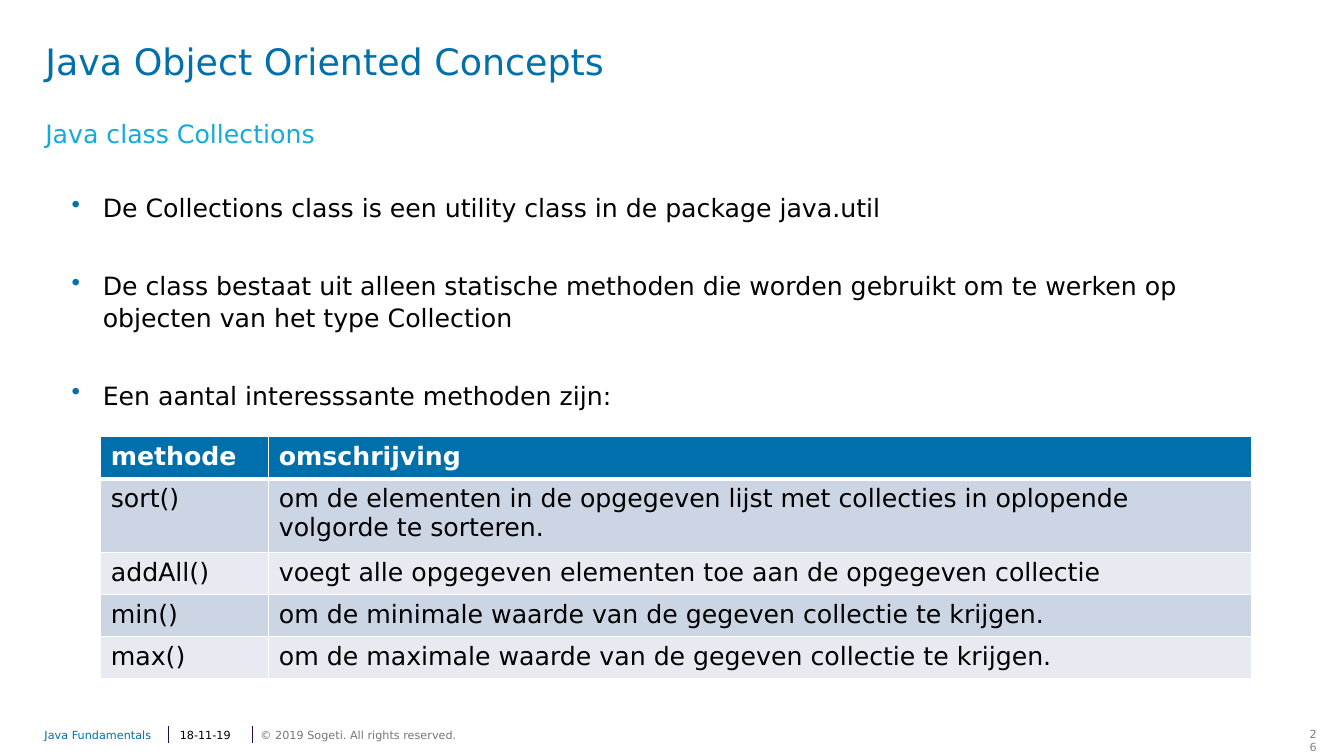
from dataclasses import dataclass

from lxml.etree import SubElement
from pptx import Presentation
from pptx.dml.color import RGBColor as Color
from pptx.enum.shapes import MSO_CONNECTOR as Connector
from pptx.enum.text import MSO_ANCHOR as Anchor, PP_ALIGN as Align
from pptx.oxml.ns import qn
from pptx.util import Inches, Pt


@dataclass(frozen=True)
class Theme:
    """Colours, font and type sizes of the slide."""
    font: str = "DejaVu Sans"
    blue: str = "0070AD"
    cyan: str = "12ABDB"
    black: str = "000000"
    white: str = "FFFFFF"
    copyright: str = "767676"
    number: str = "808080"
    divider: str = "2B0A3D"
    bands: tuple = ("CCD5E3", "E7EBF1")
    title: int = 26
    body: int = 18
    footer: int = 8


THEME = Theme()
COLUMNS, ROWS = 160, 90
WIDTH, HEIGHT = Inches(13.33), Inches(7.5)
BULLETS = [
    "De Collections class is een utility class in de package java.util",
    "De class bestaat uit alleen statische methoden die worden gebruikt om te werken op "
    "objecten van het type Collection",
    "Een aantal interesssante methoden zijn:",
]
METHODS = [
    ("methode", "omschrijving"),
    ("sort()", "om de elementen in de opgegeven lijst met collecties in oplopende "
               "volgorde te sorteren."),
    ("addAll()", "voegt alle opgegeven elementen toe aan de opgegeven collectie"),
    ("min()", "om de minimale waarde van de gegeven collectie te krijgen."),
    ("max()", "om de maximale waarde van de gegeven collectie te krijgen."),
]


def across(columns):
    """Turn grid columns into a length."""
    return int(WIDTH * columns / COLUMNS)


def down(rows):
    """Turn grid rows into a length."""
    return int(HEIGHT * rows / ROWS)


def style(para, size, color, bold=False):
    """Set the font of a paragraph."""
    font = para.font
    font.name, font.size, font.bold = THEME.font, Pt(size), bold
    font.color.rgb = Color.from_string(color)


def add_text(page, place, lines, size, color, anchor=Anchor.TOP, inset=0, wrap=True):
    """Add a text box and return its paragraphs."""
    left, top, width, height = place
    box = page.shapes.add_textbox(across(left), down(top), across(width), down(height))
    frame = box.text_frame
    frame.word_wrap, frame.vertical_anchor = wrap, anchor
    frame.margin_left = frame.margin_right = across(2 * inset)
    frame.margin_top = frame.margin_bottom = down(inset)
    frame.text = "\n".join(lines)
    for para in frame.paragraphs:
        style(para, size, color)
    return frame.paragraphs


def add_bullet(para):
    """Give a paragraph a hanging blue bullet."""
    props = para._p.get_or_add_pPr()
    props.set("marL", str(across(6.84)))
    props.set("indent", str(-across(3.72)))
    tint = SubElement(props, qn("a:buClr"))
    SubElement(tint, qn("a:srgbClr"), val=THEME.blue)
    SubElement(props, qn("a:buChar"), char="•")


def add_bullets(page, place, lines):
    """Add the widely spaced bullet list."""
    for para in add_text(page, place, lines, THEME.body, THEME.black):
        props = para._p.get_or_add_pPr()
        for child in list(props):
            props.remove(child)
        add_bullet(para)
        para.line_spacing, para.space_after = 1.05, Pt(33)
        style(para, THEME.body, THEME.black)


def add_divider(page, column):
    """Add a short upright line in the footer."""
    line = page.shapes.add_connector(
        Connector.STRAIGHT, across(column), down(88.4), across(column), down(86.4))
    line.line.color.rgb = Color.from_string(THEME.divider)
    line.line.width = Pt(0.5)
    SubElement(line._element.spPr, qn("a:effectLst"))


def add_borders(cell, bottom):
    """Draw white cell borders, the lower one of the given width."""
    props = cell._tc.get_or_add_tcPr()
    for index, (side, width) in enumerate((("L", 1), ("R", 1), ("T", 1), ("B", bottom))):
        edge = SubElement(props, qn(f"a:ln{side}"), w=str(Pt(width)))
        fill = SubElement(edge, qn("a:solidFill"))
        SubElement(fill, qn("a:srgbClr"), val=THEME.white)
        props.insert(index, edge)


def add_methods(page, left, top, widths, heights):
    """Add the table of methods with banded rows."""
    table = page.shapes.add_table(
        len(heights), len(widths), across(left), down(top),
        across(sum(widths)), down(sum(heights))).table
    for column, width in zip(table.columns, widths):
        column.width = across(width)
    for index, (row, height, texts) in enumerate(zip(table.rows, heights, METHODS)):
        row.height = down(height)
        header = index == 0
        fill = THEME.blue if header else THEME.bands[(index - 1) % 2]
        for cell, text in zip(row.cells, texts):
            cell.text = text
            cell.fill.solid()
            cell.fill.fore_color.rgb = Color.from_string(fill)
            add_borders(cell, 3 if header else 1)
            style(cell.text_frame.paragraphs[0], THEME.body,
                  THEME.white if header else THEME.black, header)


def add_footer(page):
    """Add the footer texts, dividers and page number."""
    for left, width, text, color, wrap in (
            (5.3, 37, "Java Fundamentals", THEME.blue, True),
            (21.4, 13.7, "18-11-19", THEME.black, True),
            (31, 34, "© 2019 Sogeti. All rights reserved.", THEME.copyright, False)):
        add_text(page, (left, 86, width, 2.9), [text], THEME.footer, color,
                 Anchor.MIDDLE, wrap=wrap)
    for column in (20, 30):
        add_divider(page, column)
    number = add_text(page, (154.7, 86, 3.24, 2.9), ["26"], THEME.footer,
                      THEME.number, inset=0.6)
    number[0].alignment = Align.RIGHT


def main():
    """Build the slide and save it."""
    deck = Presentation()
    deck.slide_width, deck.slide_height = WIDTH, HEIGHT
    page = deck.slides.add_slide(deck.slide_layouts[6])
    title = add_text(page, (5.4, 5.3, 143.6, 5.4), ["Java Object Oriented Concepts"],
                     THEME.title, THEME.blue)
    title[0].line_spacing = 0.9
    subtitle = add_text(page, (5.4, 14, 143.6, 5.4), ["Java class Collections"],
                        THEME.body, THEME.cyan)
    subtitle[0].line_spacing = Pt(22)
    add_bullets(page, (5.4, 22.7, 143.6, 22), BULLETS)
    add_methods(page, 12, 52, (20, 117), (5, 8.8, 5, 5, 5))
    add_footer(page)
    deck.save("out.pptx")


if __name__ == "__main__":
    main()
